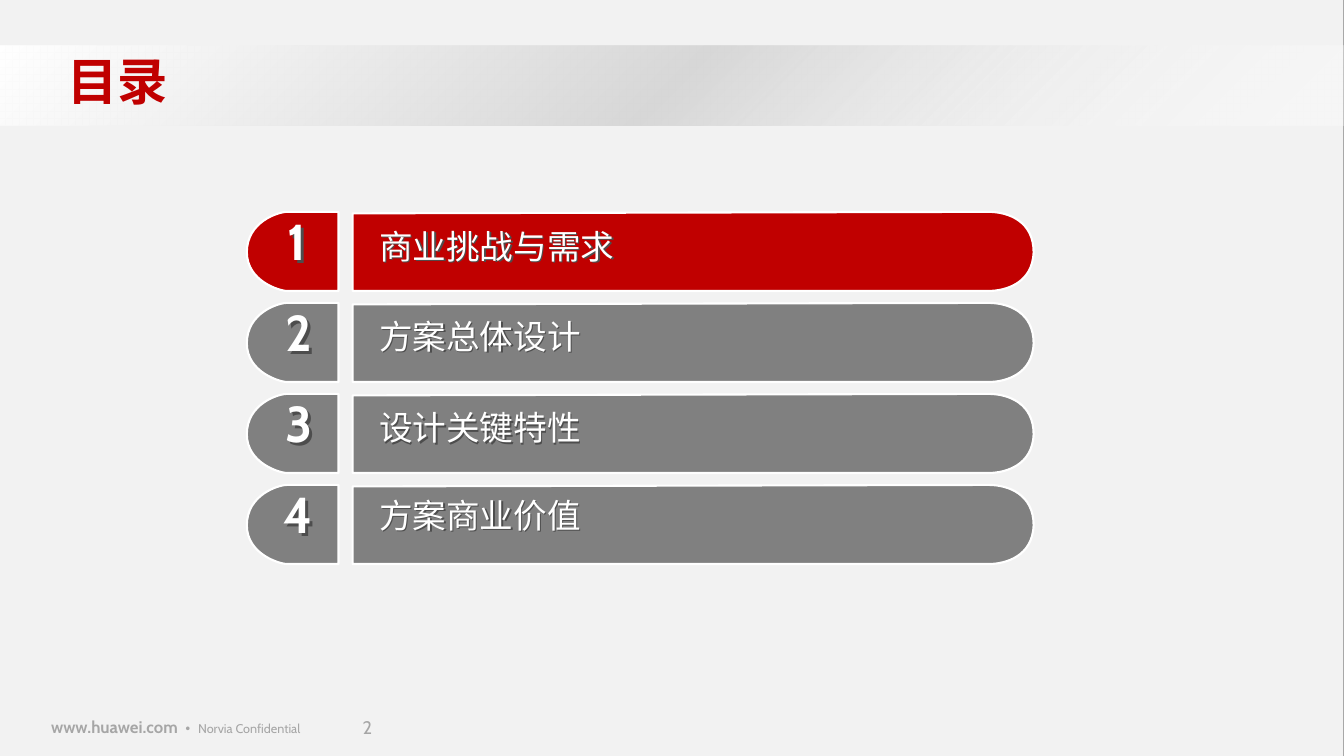
"""Build the agenda slide: title band, four numbered sections and footer."""
from dataclasses import dataclass

from lxml.etree import SubElement
from pptx import Presentation
from pptx.dml.color import RGBColor
from pptx.enum.shapes import MSO_SHAPE
from pptx.enum.text import MSO_ANCHOR, PP_ALIGN
from pptx.oxml import parse_xml
from pptx.oxml.ns import nsdecls, qn
from pptx.shapes.autoshape import Shape
from pptx.slide import Slide
from pptx.util import Inches, Pt

COLUMNS, ROWS = 133.4, 75
CELL = Inches(0.1)
FIRST_ROW, ROW_PITCH = 21.02, 9.03
RED, GREY, WHITE, FOOTER_GREY = "C00000", "808080", "FFFFFF", "A6A6A6"
LATIN_FONT, CHINESE_FONT = "Cabin", "Noto Sans CJK SC"
Point = tuple[float, float]
Area = tuple[float, float, float, float]


@dataclass(frozen=True)
class Outline:
    """Straight corners followed by cubic curves, in grid cells."""
    corners: tuple[Point, ...]
    curves: tuple[tuple[Point, Point, Point], ...]


@dataclass(frozen=True)
class TextStyle:
    """Look of one run of text."""
    size: float
    color: str
    bold: bool = False
    font: str = LATIN_FONT


@dataclass(frozen=True)
class Section:
    """One agenda entry with its text offsets in grid cells."""
    title: str
    color: str
    number_column: float
    title_offset: float


BAR = Outline(
    ((35, 0.15), (35, 7.85), (98.1, 7.85)),
    (((99.8, 7.85), (102.5, 7.1), (102.6, 4)),
     ((102.6, 1), (100.2, 0), (98.1, 0))),
)
TAB = Outline(
    ((33.6, 0), (33.6, 7.85), (28.5, 7.85)),
    (((27.8, 7.85), (24.5, 6.9), (24.5, 4)),
     ((24.5, 1), (27.6, 0), (28.5, 0))),
)
SECTIONS = (
    Section("商业挑战与需求", RED, 27.2, 0.86),
    Section("方案总体设计", GREY, 27.4, 0.8),
    Section("设计关键特性", GREY, 27.4, 0.84),
    Section("方案商业价值", GREY, 27.2, 0.5),
)
TITLE = TextStyle(36, RED, True)
NUMBER = TextStyle(36, WHITE, True)
SECTION_TITLE = TextStyle(24, WHITE, font=CHINESE_FONT)
ADDRESS = TextStyle(12, FOOTER_GREY, True)
NOTICE = TextStyle(9, FOOTER_GREY)
PAGE = TextStyle(13, FOOTER_GREY)


def color_of(value: str) -> RGBColor:
    """Turn a hex string into a colour."""
    return RGBColor.from_string(value)


def cells(*values: float) -> list[int]:
    """Turn grid cells into slide lengths."""
    return [round(value * CELL) for value in values]


def add_rectangle(slide: Slide, area: Area, color: str) -> Shape:
    """Add a plain rectangle without a line."""
    shape = slide.shapes.add_shape(MSO_SHAPE.RECTANGLE, *cells(*area))
    shape.shadow.inherit = False
    shape.fill.solid()
    shape.fill.fore_color.rgb = color_of(color)
    shape.line.fill.background()
    return shape


def add_title_band(slide: Slide) -> None:
    """Add the band behind the title, with a gradient from its lower right corner."""
    shape = add_rectangle(slide, (0, 4.5, COLUMNS, 8), WHITE)
    gradient = parse_xml(
        f'<a:gradFill {nsdecls("a")} rotWithShape="1"><a:gsLst>'
        '<a:gs pos="4000"><a:srgbClr val="FFFFFF"><a:alpha val="31000"/></a:srgbClr></a:gs>'
        '<a:gs pos="50000"><a:srgbClr val="D7D7D7"/></a:gs>'
        '<a:gs pos="100000"><a:srgbClr val="FFFFFF"/></a:gs></a:gsLst>'
        '<a:path path="circle"><a:fillToRect l="100000" t="100000"/></a:path></a:gradFill>'
    )
    properties = shape.element.spPr
    properties.replace(properties.find(qn("a:solidFill")), gradient)


def bend_segments(shape: Shape, outline: Outline, top: float) -> None:
    """Turn the last straight segments of a freeform into the outline's curves."""
    segments = list(shape.element.iter(qn("a:lnTo")))[len(outline.corners) - 1:]
    for segment, curve in zip(segments, outline.curves):
        segment.tag = qn("a:cubicBezTo")
        segment.remove(segment[0])
        for column, row in curve:
            x, y = cells(column, row + top)
            SubElement(segment, qn("a:pt"), x=str(x - shape.left), y=str(y - shape.top))


def add_outline(slide: Slide, outline: Outline, top: float, color: str) -> None:
    """Draw a filled outline with a white edge."""
    points = [*outline.corners, *(curve[-1] for curve in outline.curves)]
    start, *others = [tuple(cells(column, row + top)) for column, row in points]
    builder = slide.shapes.build_freeform(*start)
    builder.add_line_segments(others, close=True)
    shape = builder.convert_to_shape()
    bend_segments(shape, outline, top)
    shape.shadow.inherit = False
    shape.fill.solid()
    shape.fill.fore_color.rgb = color_of(color)
    shape.line.color.rgb = color_of(WHITE)
    shape.line.width = Pt(1.5)


def add_text(slide: Slide, area: Area, runs: list[tuple[str, TextStyle]],
             frame_format: dict | None = None, paragraph_format: dict | None = None) -> Shape:
    """Add a text box holding one paragraph of styled runs."""
    shape = slide.shapes.add_textbox(*cells(*area))
    frame = shape.text_frame
    paragraph = frame.paragraphs[0]
    for target, values in ((frame, {"word_wrap": True, **(frame_format or {})}),
                           (paragraph, paragraph_format or {})):
        for name, value in values.items():
            setattr(target, name, value)
    for text, style in runs:
        run = paragraph.add_run()
        run.text = text
        font_format = {"size": Pt(style.size), "bold": style.bold, "name": style.font}
        for name, value in font_format.items():
            setattr(run.font, name, value)
        run.font.color.rgb = color_of(style.color)
        latin = run.font._element.find(qn("a:latin"))
        latin.addnext(parse_xml(f'<a:ea {nsdecls("a")} typeface="{CHINESE_FONT}"/>'))
    return shape


def add_text_shadow(shape: Shape, distance: float) -> None:
    """Cast a shadow from the letters of a text box to the lower right."""
    shape.element.spPr.append(parse_xml(
        f'<a:effectLst {nsdecls("a")}><a:outerShdw dist="{Pt(distance)}" dir="2700000">'
        '<a:srgbClr val="4D4D4D"/></a:outerShdw></a:effectLst>'))


def add_section(slide: Slide, index: int, section: Section) -> None:
    """Draw one numbered agenda entry."""
    top = FIRST_ROW + index * ROW_PITCH
    for outline in (BAR, TAB):
        add_outline(slide, outline, top, section.color)
    title = add_text(slide, (36.65, top + section.title_offset, 53.4, 6.4),
                     [(section.title, SECTION_TITLE)])
    number = add_text(slide, (section.number_column, top - 0.67, 4.5, 8.9),
                      [(str(index + 1), NUMBER)],
                      paragraph_format={"alignment": PP_ALIGN.CENTER})
    add_text_shadow(title, 1.5)
    add_text_shadow(number, 3)


def add_footer(slide: Slide) -> None:
    """Add the page number, web address and notice."""
    middle = {"vertical_anchor": MSO_ANCHOR.MIDDLE}
    margins = dict.fromkeys(("margin_left", "margin_top", "margin_right", "margin_bottom"), 0)
    add_text(slide, (36, 71.3, 4, 2.1), [("2", PAGE)], middle | margins, {"line_spacing": 0.85})
    add_text(slide, (4.1, 70.6, 31.3, 3),
             [("www.huawei.com  •  ", ADDRESS), ("Norvia Confidential", NOTICE)], middle)


def main() -> None:
    """Build and save the presentation."""
    presentation = Presentation()
    presentation.slide_width, presentation.slide_height = cells(COLUMNS, ROWS)
    slide = presentation.slides.add_slide(presentation.slide_layouts[6])
    slide.background.fill.solid()
    slide.background.fill.fore_color.rgb = color_of(GREY)
    add_rectangle(slide, (0, 0, 133.35, ROWS), "F2F2F2")
    add_footer(slide)
    add_title_band(slide)
    add_text(slide, (5.7, 4.5, 68.1, 8), [("目录", TITLE)])
    for index, section in enumerate(SECTIONS):
        add_section(slide, index, section)
    presentation.save("out.pptx")


if __name__ == "__main__":
    main()
